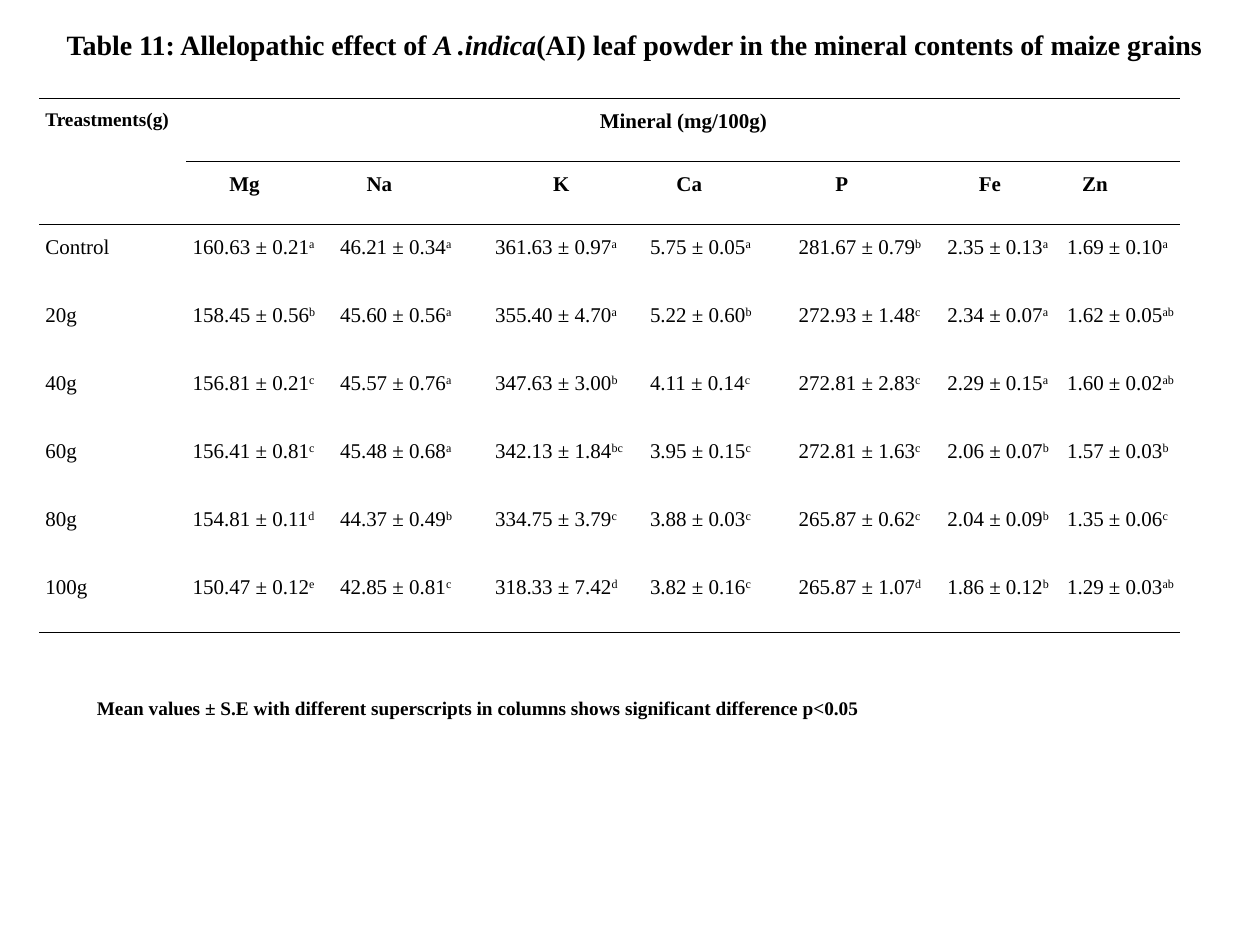
from lxml import etree
from pptx import Presentation
from pptx.dml.color import RGBColor
from pptx.enum.text import MSO_ANCHOR, PP_ALIGN
from pptx.oxml import parse_xml
from pptx.oxml.ns import nsdecls, qn
from pptx.util import Inches, Pt

FONT, INK = "Times New Roman", "000000"
NO_STYLE = "{2D5ABB26-0587-4C30-8999-92F81FD0307C}"

TITLE = [("Table 11: Allelopathic effect of ", False), ("A .indica", True),
         ("(AI) leaf powder in the mineral contents of maize grains", False)]
NOTE = ("Mean values ± S.E with different superscripts in columns "
        "shows significant difference p<0.05")
TREATMENTS, MINERALS = "Treastments(g)", "Mineral (mg/100g)"
# mineral, indent of its heading, column width
COLUMNS = [("Mg", 0.29, 1.17), ("Na", 0.21, 1.23), ("K", 0.46, 1.23),
           ("Ca", 0.21, 1.18), ("P", 0.29, 1.18), ("Fe", 0.25, 0.95),
           ("Zn", 0.12, 0.95)]
# treatment, then mean ± error and superscript per mineral
RESULTS = [
    ("Control", "160.63 ± 0.21|a", "46.21 ± 0.34|a", "361.63 ± 0.97|a", "5.75 ± 0.05|a",
     "281.67 ± 0.79|b", "2.35 ± 0.13|a", "1.69 ± 0.10|a"),
    ("20g", "158.45 ± 0.56|b", "45.60 ± 0.56|a", "355.40 ± 4.70|a", "5.22 ± 0.60|b",
     "272.93 ± 1.48|c", "2.34 ± 0.07|a", "1.62 ± 0.05|ab"),
    ("40g", "156.81 ± 0.21|c", "45.57 ± 0.76|a", "347.63 ± 3.00|b", "4.11 ± 0.14|c",
     "272.81 ± 2.83|c", "2.29 ± 0.15|a", "1.60 ± 0.02|ab"),
    ("60g", "156.41 ± 0.81|c", "45.48 ± 0.68|a", "342.13 ± 1.84|bc", "3.95 ± 0.15|c",
     "272.81 ± 1.63|c", "2.06 ± 0.07|b", "1.57 ± 0.03|b"),
    ("80g", "154.81 ± 0.11|d", "44.37 ± 0.49|b", "334.75 ± 3.79|c", "3.88 ± 0.03|c",
     "265.87 ± 0.62|c", "2.04 ± 0.09|b", "1.35 ± 0.06|c"),
    ("100g", "150.47 ± 0.12|e", "42.85 ± 0.81|c", "318.33 ± 7.42|d", "3.82 ± 0.16|c",
     "265.87 ± 1.07|d", "1.86 ± 0.12|b", "1.29 ± 0.03|ab"),
]
WIDTHS = [1.17] + [width for _, _, width in COLUMNS]
HEIGHTS = [0.5] * 2 + [0.54] * len(RESULTS)


def add_run(paragraph, text, size, bold=False, italic=False):
    run = paragraph.add_run()
    run.text = text
    font = run.font
    font.name, font.size, font.bold, font.italic = FONT, Pt(size), bold, italic
    font.color.rgb = RGBColor.from_string(INK)
    return run


def add_text(slide, box, pieces, size):
    frame = slide.shapes.add_textbox(*map(Inches, box)).text_frame
    frame.word_wrap = True
    for text, italic in pieces:
        add_run(frame.paragraphs[0], text, size, True, italic)
    return frame


def fill_cell(cell, text, size=12, bold=False, align=PP_ALIGN.JUSTIFY, indent=0):
    """Write a value; what follows "|" is set as superscript."""
    paragraph = cell.text_frame.paragraphs[0]
    paragraph.alignment, paragraph.line_spacing = align, 1.5
    if indent:
        paragraph._p.get_or_add_pPr().set("marL", str(Inches(indent)))
    value, _, superscript = text.partition("|")
    add_run(paragraph, value, size, bold)
    if superscript:
        run = add_run(paragraph, superscript, size, bold)
        run._r.get_or_add_rPr().set("baseline", "30000")


def rule_cell(cell, ruled_sides):
    """Draw a thin line on the ruled sides and none on the others."""
    properties = cell._tc.get_or_add_tcPr()
    for side in "LRTB":
        fill = (f'<a:solidFill><a:srgbClr val="{INK}"/></a:solidFill>'
                if side in ruled_sides else "<a:noFill/>")
        properties.append(parse_xml(
            f'<a:ln{side} {nsdecls("a")} w="{Pt(1)}">{fill}</a:ln{side}>'))


def add_results_table(slide):
    table = slide.shapes.add_table(
        len(HEIGHTS), len(WIDTHS), Inches(0.31), Inches(0.78),
        Inches(sum(WIDTHS)), Inches(sum(HEIGHTS))).table
    table.first_row = table.horz_banding = False
    table._tbl.tblPr.find(qn("a:tableStyleId")).text = NO_STYLE
    for column, width in zip(table.columns, WIDTHS):
        column.width = Inches(width)
    for row, height in zip(table.rows, HEIGHTS):
        row.height = Inches(height)

    last = len(HEIGHTS) - 1
    for r in range(len(HEIGHTS)):
        for c in range(len(WIDTHS)):
            cell = table.cell(r, c)
            cell.margin_left = cell.margin_right = Inches(0.05)
            cell.margin_top = cell.margin_bottom = 0
            top = r in (0, 2) or (r == 1 and c > 0)
            bottom = r in (0, 1, last)
            rule_cell(cell, "T" * top + "B" * bottom)
            cell.fill.background()

    table.cell(0, 0).merge(table.cell(1, 0))
    table.cell(0, 1).merge(table.cell(0, len(COLUMNS)))
    fill_cell(table.cell(0, 0), TREATMENTS, 11, True)
    fill_cell(table.cell(0, 1), MINERALS, 12, True, PP_ALIGN.CENTER)
    for c, (mineral, indent, _) in enumerate(COLUMNS, 1):
        fill_cell(table.cell(1, c), mineral, bold=True, indent=indent)
    for r, result in enumerate(RESULTS, 2):
        for c, value in enumerate(result):
            fill_cell(table.cell(r, c), value)


def main():
    deck = Presentation()
    deck.slide_width, deck.slide_height = Inches(10), Inches(7.5)
    slide = deck.slides.add_slide(deck.slide_layouts[6])
    add_results_table(slide)
    title = add_text(slide, (0.43, 0.07, 9.57, 0.81), TITLE, 16)
    title.vertical_anchor = MSO_ANCHOR.TOP
    title.margin_top, title.margin_bottom = Inches(0.15), 0
    add_text(slide, (0.67, 5.48, 8.9, 0.29), [(NOTE, False)], 11)
    deck.save("out.pptx")


if __name__ == "__main__":
    main()
